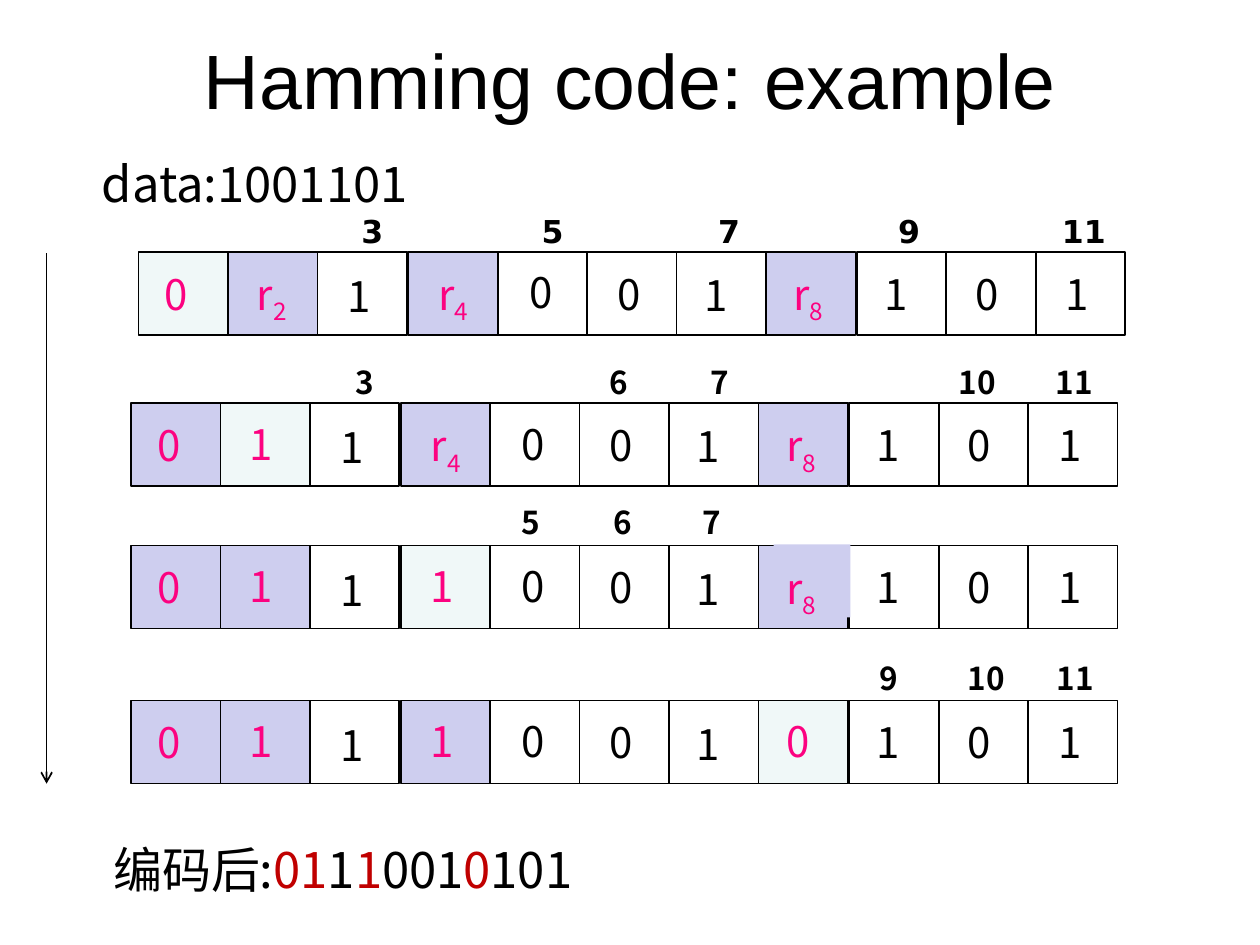
from dataclasses import dataclass
from typing import Any, NamedTuple

from lxml import etree
from pptx import Presentation
from pptx import util as u
from pptx.dml.color import RGBColor
from pptx.enum import shapes, text
from pptx.oxml.ns import qn

PX = 9144  # 100 px to the inch


@dataclass(frozen=True)
class Theme:
    black: str = "000000"
    pink: str = "FC0280"
    red: str = "C00000"
    lilac: str = "CECEEF"
    mint: str = "F0F8F8"
    sans: str = "Noto Sans CJK SC"
    head: str = "Arial"
    mark: str = "DejaVu Sans"
    title: int = 44
    body: int = 28
    bit: int = 24
    index: int = 18


class Box(NamedTuple):
    left: int
    top: int
    width: int
    height: int


class Run(NamedTuple):
    text: str
    color: str
    sub: bool = False


class Label(NamedTuple):
    text: str
    left: int
    width: int = 48


@dataclass(frozen=True)
class Row:
    left: int
    top: int
    checks: tuple[str, ...]
    focus: int
    label_top: int
    labels: tuple[Label, ...]
    font: str
    cover: int = -1


T = Theme()
COLS = 11
PITCH = 71.2
CHECKS = (0, 1, 3, 7)
DATA = {2: "1", 4: "0", 5: "0", 6: "1", 8: "1", 9: "0", 10: "1"}
SHIFT = {  # text offset of each column from the row's corner
    0: (11, 0), 1: (84, -1), 3: (228, -1), 7: (510, -1),
    2: (156, 2), 4: (300, -1), 5: (370, 0), 6: (439, 1),
    8: (582, 0), 9: (654, 0), 10: (726, 0),
}
ROWS = (
    Row(110, 200, ("0", "r2", "r4", "r8"), 0, 163,
        (Label("3", 277), Label("5", 420), Label("7", 560),
         Label("9", 703), Label("11", 833, 82)), T.mark),
    Row(104, 320, ("0", "1", "r4", "r8"), 1, 283,
        (Label("3", 272), Label("6", 474), Label("7", 554),
         Label("10", 751, 54), Label("11", 828, 82)), T.sans),
    Row(104, 433, ("0", "1", "1", "r8"), 3, 394,
        (Label("5", 404), Label("6", 477), Label("7", 548)), T.sans, cover=7),
    Row(104, 556, ("0", "1", "1", "0"), 7, 518,
        (Label("9", 688), Label("10", 758, 58), Label("11", 829, 54)), T.sans),
)


def emu(box: Box) -> list[u.Emu]:
    return [u.Emu(v * PX) for v in box]


def apply(item: Any, **look: Any) -> None:
    for key, value in look.items():
        setattr(item, key, value)


def paint(fill: Any, color: str) -> None:
    fill.solid()
    fill.fore_color.rgb = RGBColor.from_string(color)


def write(frame: Any, runs: list[Run], size: int, face: str,
          bold: bool = False) -> Any:
    """Fill the first paragraph with coloured runs and return it."""
    para = frame.paragraphs[0]
    for part in runs:
        run = para.add_run()
        run.text = part.text
        apply(run.font, size=u.Pt(size), name=face, bold=bold)
        run.font.color.rgb = RGBColor.from_string(part.color)
        props = run.font._element
        etree.SubElement(props, qn("a:ea")).set("typeface", face)
        if part.sub:
            props.set("baseline", "-25000")
    return para


def note(slide: Any, box: Box, runs: list[Run], size: int, face: str,
         bold: bool = False, space: float = 1.0, fill: str = "") -> None:
    shape = slide.shapes.add_textbox(*emu(box))
    if fill:
        paint(shape.fill, fill)
    apply(shape.text_frame, word_wrap=True)
    para = write(shape.text_frame, runs, size, face, bold)
    para.line_spacing = space


def cell(slide: Any, box: Box, fill: str) -> None:
    shape = slide.shapes.add_shape(shapes.MSO_SHAPE.RECTANGLE, *emu(box))
    shape.shadow.inherit = False
    if fill:
        paint(shape.fill, fill)
    else:
        shape.fill.background()
    paint(shape.line.fill, T.black)
    shape.line.width = u.Pt(1)


def draw_row(slide: Any, row: Row) -> None:
    for col in range(COLS):
        fill = T.mint if col == row.focus else T.lilac if col in CHECKS else ""
        left = row.left + round(col * PITCH)
        cell(slide, Box(left, row.top, 71, 66), fill)
    for mark in row.labels:
        note(slide, Box(mark.left, row.label_top, mark.width, 40),
             [Run(mark.text, T.black)], T.index, row.font, bold=True)
    bits = dict(zip(CHECKS, row.checks)) | DATA
    for col, bit in bits.items():
        check = col in CHECKS
        color = T.pink if check else T.black
        runs = [Run(bit[0], color)]
        if bit[1:]:
            runs.append(Run(bit[1:], color, sub=True))
        dx, dy = SHIFT[col]
        size = (61, 58) if check else (51, 57)
        note(slide, Box(row.left + dx, row.top + dy, *size), runs, T.bit,
             T.sans, space=1.2, fill=T.lilac if col == row.cover else "")


def arrow(slide: Any, left: int, top: int, end: int) -> None:
    line = slide.shapes.add_connector(
        shapes.MSO_CONNECTOR.STRAIGHT, *emu(Box(left, top, left, end)))
    paint(line.line.fill, T.black)
    line.line.width = u.Pt(1)
    etree.SubElement(line.line._get_or_add_ln(), qn("a:tailEnd")).set("type", "arrow")
    etree.SubElement(line._element.spPr, qn("a:effectLst"))


def main() -> None:
    deck = Presentation()
    apply(deck, slide_width=u.Inches(10), slide_height=u.Inches(7.5))
    slide = deck.slides.add_slide(deck.slide_layouts[5])

    title = slide.shapes.title
    place = emu(Box(50, 0, 900, 125))
    apply(title, **dict(zip(("left", "top", "width", "height"), place)))
    apply(title.text_frame, vertical_anchor=text.MSO_ANCHOR.MIDDLE)
    para = write(title.text_frame, [Run("Hamming code: example", T.black)],
                 T.title, T.head)
    para.alignment = text.PP_ALIGN.CENTER

    for row in ROWS:
        draw_row(slide, row)

    note(slide, Box(71, 117, 708, 57), [Run("data:1001101", T.black)],
         T.body, T.sans)
    code = [Run("编码后:", T.black), Run("01", T.red), Run("1", T.black),
            Run("1", T.red), Run("001", T.black), Run("0", T.red),
            Run("101", T.black)]
    note(slide, Box(80, 661, 708, 57), code, T.body, T.sans)
    arrow(slide, 37, 201, 622)
    deck.save("out.pptx")


if __name__ == "__main__":
    main()
